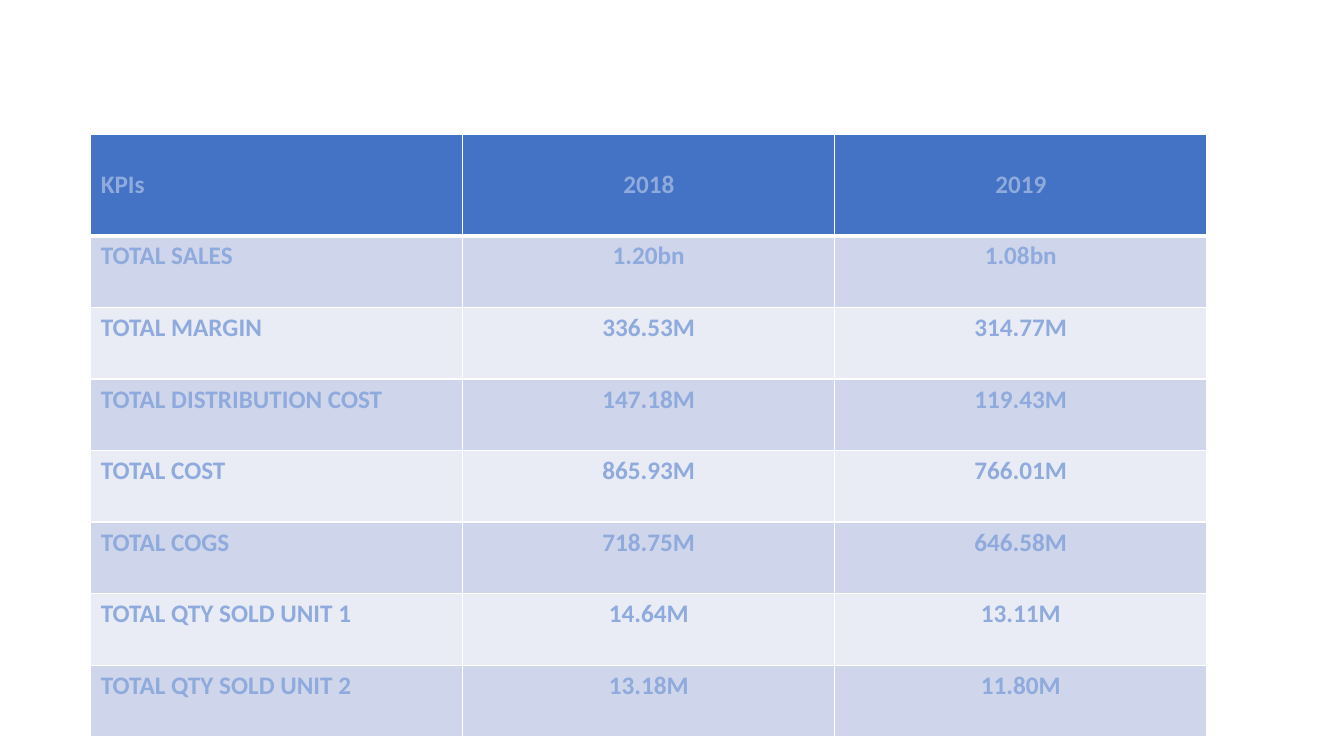
from lxml.etree import SubElement
from pptx import Presentation
from pptx.dml.color import RGBColor
from pptx.enum.text import MSO_ANCHOR as Anchor, PP_ALIGN as Align
from pptx.oxml.ns import qn
from pptx.util import Inches, Pt

KPI_ROWS = [
    ("KPIs", "2018", "2019"),
    ("TOTAL SALES", "1.20bn", "1.08bn"),
    ("TOTAL MARGIN", "336.53M", "314.77M"),
    ("TOTAL DISTRIBUTION COST", "147.18M", "119.43M"),
    ("TOTAL COST", "865.93M", "766.01M"),
    ("TOTAL COGS", "718.75M", "646.58M"),
    ("TOTAL QTY SOLD UNIT 1", "14.64M", "13.11M"),
    ("TOTAL QTY SOLD UNIT 2", "13.18M", "11.80M"),
]
COLORS = {
    "header": "4472C4",
    "odd": "CFD5EA",
    "even": "E9EBF5",
    "text": "8FAADC",
    "border": "FFFFFF",
}
LEFT, TOP = 0.9, 1.33
COLUMN_WIDTH = 3.69
HEADER_HEIGHT, BODY_HEIGHT = 1.01, 0.71


def write_text(cell, text, align=Align.LEFT, anchor=Anchor.TOP, size=18):
    cell.vertical_anchor = anchor
    para = cell.text_frame.paragraphs[0]
    para.alignment = align
    span = para.add_run()
    span.text = text
    span.font.name = "Calibri"
    span.font.size = Pt(size)
    span.font.bold = True
    span.font.color.rgb = RGBColor.from_string(COLORS["text"])


def draw_borders(cell, top=1, bottom=1):
    properties = cell._tc.get_or_add_tcPr()
    for side, width in (("L", 1), ("R", 1), ("T", top), ("B", bottom)):
        line = SubElement(properties, qn(f"a:ln{side}"), w=str(Pt(width)))
        fill = SubElement(line, qn("a:solidFill"))
        SubElement(fill, qn("a:srgbClr"), val=COLORS["border"])


def band(row):
    if row == 0:
        return "header"
    return "odd" if row % 2 else "even"


def main():
    deck = Presentation()
    deck.slide_width, deck.slide_height = Inches(13.33), Inches(7.5)
    page = deck.slides.add_slide(deck.slide_layouts[6])

    heights = [HEADER_HEIGHT] + [BODY_HEIGHT] * (len(KPI_ROWS) - 1)
    columns = len(KPI_ROWS[0])
    table = page.shapes.add_table(
        len(KPI_ROWS), columns, Inches(LEFT), Inches(TOP),
        Inches(COLUMN_WIDTH * columns), Inches(sum(heights)),
    ).table
    for column in table.columns:
        column.width = Inches(COLUMN_WIDTH)

    for row, values in enumerate(KPI_ROWS):
        table.rows[row].height = Inches(heights[row])
        for column, value in enumerate(values):
            cell = table.cell(row, column)
            draw_borders(cell, top=3 if row == 1 else 1, bottom=3 if row == 0 else 1)
            cell.fill.solid()
            cell.fill.fore_color.rgb = RGBColor.from_string(COLORS[band(row)])
            write_text(
                cell, value,
                align=Align.CENTER if column else Align.LEFT,
                anchor=Anchor.TOP if row else Anchor.MIDDLE,
            )

    deck.save("out.pptx")


if __name__ == "__main__":
    main()
